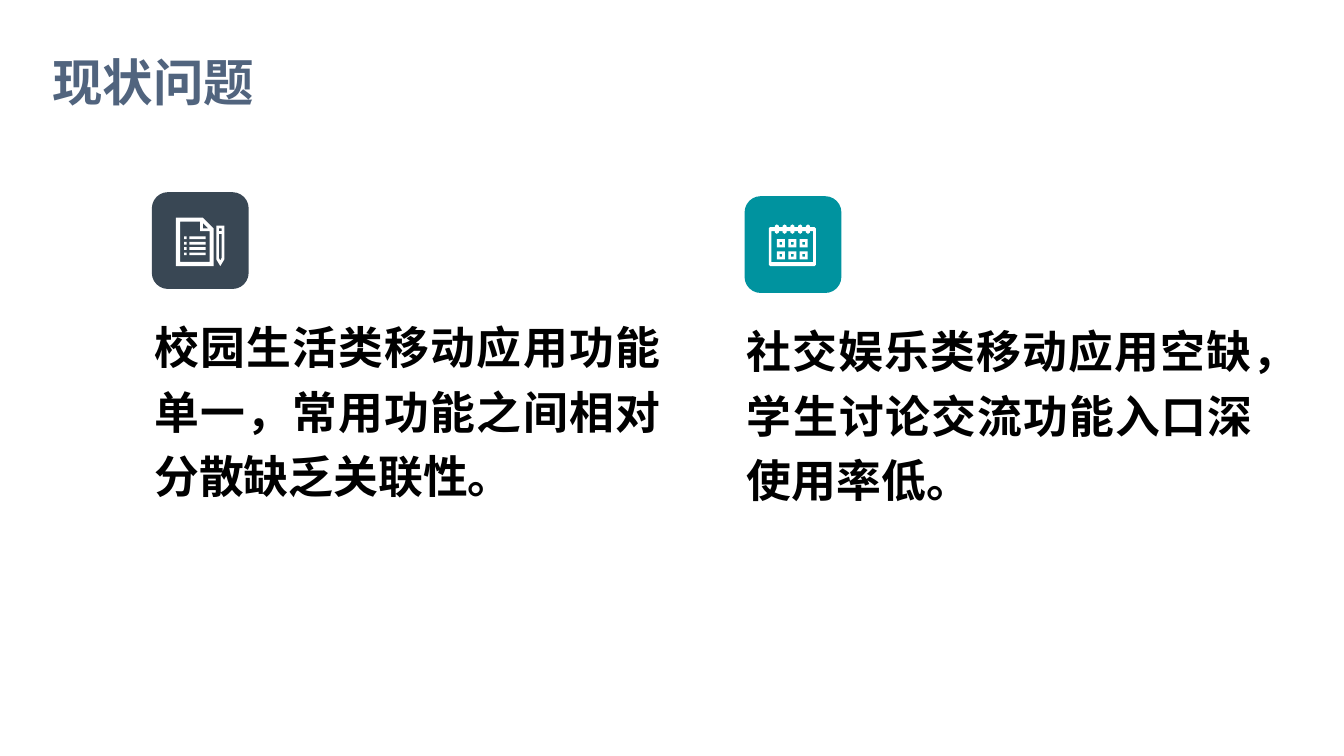
import itertools

import pptx
import pptx.dml.color
import pptx.enum.shapes
import pptx.enum.text
import pptx.oxml
import pptx.oxml.ns
import pptx.util

Inches = pptx.util.Inches
FONT = "Noto Sans CJK SC"
ALIGN = pptx.enum.text.PP_ALIGN


def paint(fill, color):
    """Fill with a solid hex colour."""
    fill.solid()
    fill.fore_color.rgb = pptx.dml.color.RGBColor.from_string(color)


def write_text(shape, text, size, color, align, frame_format):
    """Write one bold paragraph into a shape."""
    frame = shape.text_frame
    frame_format = {
        "word_wrap": True,
        "vertical_anchor": pptx.enum.text.MSO_ANCHOR.TOP,
        "auto_size": pptx.enum.text.MSO_AUTO_SIZE.SHAPE_TO_FIT_TEXT,
        **frame_format,
    }
    for name, value in frame_format.items():
        setattr(frame, name, value)
    paragraph = frame.paragraphs[0]
    paragraph.alignment = align
    paragraph.line_spacing = pptx.util.Pt(1.44 * size)
    run = paragraph.add_run()
    run.text = text
    for name, value in {"name": FONT, "size": pptx.util.Pt(size), "bold": True}.items():
        setattr(run.font, name, value)
    paint(run.font.fill, color)
    east_asian = pptx.oxml.parse_xml(
        f'<a:ea {pptx.oxml.ns.nsdecls("a")} typeface="{FONT}"/>'
    )
    run.font._element.append(east_asian)


def rectangle(left, top, width, height):
    """Return the corners of a rectangle."""
    right, bottom = left + width, top + height
    return [(left, top), (right, top), (right, bottom), (left, bottom)]


def document_outlines():
    """Return the outlines of a listed page with a pencil."""
    page = [(0, 0), (0.2, 0), (0.28, 0.08), (0.28, 0.36), (0, 0.36)]
    paper = [(0.03, 0.03), (0.18, 0.03), (0.18, 0.1), (0.25, 0.1), (0.25, 0.33), (0.03, 0.33)]
    fold = [(0.2, 0.04), (0.24, 0.08), (0.2, 0.08)]
    pencil = [(0.3, 0.06), (0.36, 0.06), (0.36, 0.31), (0.33, 0.36), (0.3, 0.31)]
    barrel = [(0.32, 0.12), (0.34, 0.12), (0.34, 0.3), (0.33, 0.32), (0.32, 0.3)]
    eraser = rectangle(0.32, 0.08, 0.02, 0.02)
    rows = [
        rectangle(left, 0.14 + 0.04 * row, width, 0.02)
        for row, (left, width) in itertools.product(range(4), [(0.06, 0.02), (0.1, 0.12)])
    ]
    return [page, paper, fold, pencil, barrel, eraser, *rows]


def ring_edge(edge, tip):
    """Return the row of five binder rings along a calendar edge."""
    centers = [0.06 + 0.058 * ring for ring in range(5)]
    bend = tip + (0.01 if tip < edge else -0.01)
    profile = [(-0.015, edge), (-0.015, bend), (0, tip), (0.015, bend), (0.015, edge)]
    return [(center + x, y) for center, (x, y) in itertools.product(centers, profile)]


def calendar_outlines():
    """Return the outlines of a calendar with six days."""
    frame = [(0, 0.03), (0.01, 0.02), *ring_edge(0.02, 0), (0.34, 0.02), (0.35, 0.03),
             (0.35, 0.3), (0.34, 0.31), (0.01, 0.31), (0, 0.3)]
    sheet = [*ring_edge(0.05, 0.07), (0.33, 0.05), (0.33, 0.28), (0.02, 0.28), (0.02, 0.05)]
    days = []
    for column, row in itertools.product(range(3), range(2)):
        left, top = 0.06 + 0.085 * column, 0.11 + 0.09 * row
        days += [rectangle(left, top, 0.06, 0.06), rectangle(left + 0.02, top + 0.02, 0.02, 0.02)]
    return [frame, sheet, *days]


def add_icon(slide, left, top, outlines):
    """Draw a white icon from closed outlines."""
    contours = [[(Inches(x), Inches(y)) for x, y in outline] for outline in outlines]
    builder = slide.shapes.build_freeform(*contours[0][0])
    builder.add_line_segments(contours[0][1:], close=True)
    for contour in contours[1:]:
        builder.move_to(*contour[0])
        builder.add_line_segments(contour[1:], close=True)
    icon = builder.convert_to_shape(Inches(left), Inches(top))
    icon.shadow.inherit = False
    icon.line.fill.background()
    paint(icon.fill, "FFFFFF")


def add_problem(slide, left, top, color, outlines, icon_drop, text):
    """Place a badge with its icon above a problem statement."""
    side = 0.72
    badge = slide.shapes.add_shape(
        pptx.enum.shapes.MSO_SHAPE.ROUNDED_RECTANGLE,
        Inches(left), Inches(top), Inches(side), Inches(side),
    )
    badge.shadow.inherit = False
    badge.line.fill.background()
    paint(badge.fill, color)
    add_icon(slide, left + 0.18, top + icon_drop, outlines)
    statement = slide.shapes.add_textbox(
        Inches(left - 0.08), Inches(top + 0.82), Inches(3.96), Inches(1.52)
    )
    write_text(statement, text, 24, "000000", ALIGN.JUSTIFY, {})


def add_title(slide, left, top, width, height, text):
    """Place the slide title in its placeholder."""
    title = slide.shapes.title
    box = {"left": left, "top": top, "width": width, "height": height}
    for name, value in box.items():
        setattr(title, name, Inches(value))
    margins = {
        "margin_left": Inches(0.07),
        "margin_right": Inches(0.07),
        "margin_top": Inches(0.04),
        "margin_bottom": Inches(0.04),
    }
    write_text(title, text, 27, "51647E", ALIGN.LEFT, margins)


def main():
    """Build and save the slide."""
    deck = pptx.Presentation()
    deck.slide_width = Inches(10)
    deck.slide_height = deck.slide_width * 9 // 16
    slide = deck.slides.add_slide(deck.slide_layouts[5])
    paint(slide.background.fill, "FFFFFF")
    add_title(slide, 0.32, 0.25, 2.18, 0.58, "现状问题")
    add_problem(slide, 1.13, 1.43, "394754", document_outlines(), 0.19,
                "校园生活类移动应用功能单一，常用功能之间相对分散缺乏关联性。")
    add_problem(slide, 5.54, 1.46, "00939F", calendar_outlines(), 0.21,
                "社交娱乐类移动应用空缺，学生讨论交流功能入口深使用率低。")
    deck.save("out.pptx")


if __name__ == "__main__":
    main()
